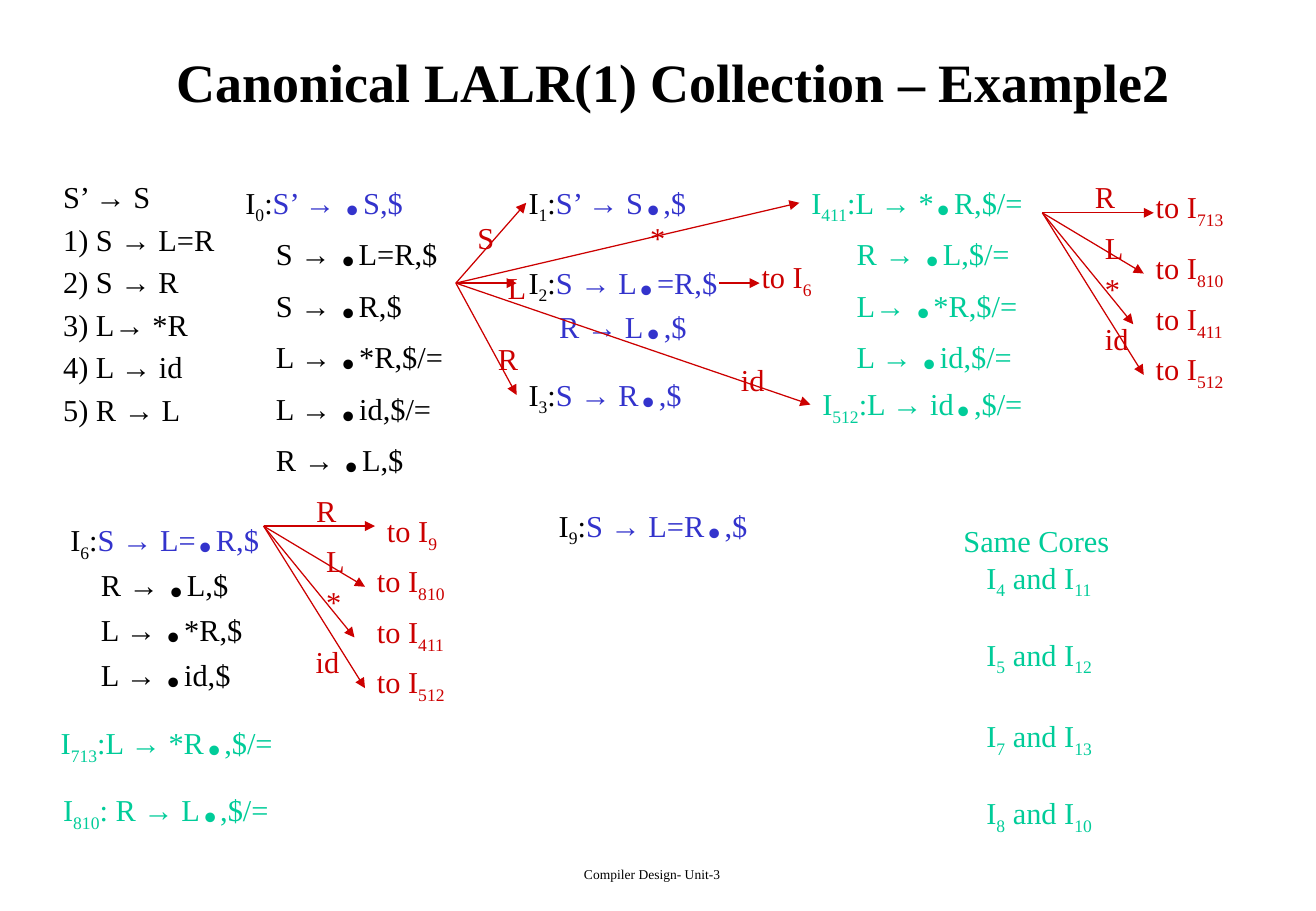
from lxml import etree
from pptx import Presentation
from pptx.dml.color import RGBColor
from pptx.enum import shapes, text
from pptx.oxml import ns
from pptx.util import Cm, Pt

HUES = {"black": "000000", "blue": "3333CC", "green": "00CC99", "red": "CC0000"}
DOT = 0.46  # line spacing of the lines with a large dot

deck = Presentation()
deck.slide_width, deck.slide_height = Cm(27.51), Cm(19.05)
slide = deck.slides.add_slide(deck.slide_layouts[6])


def write(x, y, w, h, lines, hue="black", size=18, pad=0, gaps=(), lead=None):
    """Parts are split by |: "_" lowers, "#" turns blue, "." is a large dot."""
    box = slide.shapes.add_textbox(Cm(x), Cm(y), Cm(w), Cm(h))
    frame = box.text_frame
    frame.word_wrap = True
    for row, line in enumerate(lines):
        para = frame.paragraphs[0] if row == 0 else frame.add_paragraph()
        if row:
            para._p.get_or_add_pPr().set("marL", str(Cm(pad)))
            if gaps:
                para.space_before = Pt(gaps[row - 1])
        if lead:
            para.line_spacing = lead
        para.font.name, para.font.size = "Times New Roman", Pt(size)
        para.font.color.rgb = RGBColor.from_string(HUES[hue])
        blue = False
        for part in line.split("|"):
            blue = blue or part.startswith("#")
            run = para.add_run()
            run.text = part.lstrip("#_")
            if blue:
                run.font.color.rgb = RGBColor.from_string(HUES["blue"])
            if part == ".":
                run.font.size = Pt(48)
            if part.startswith("_"):
                run._r.get_or_add_rPr().set("baseline", "-25000")
    return frame


def arrow(x, y, to_x, to_y):
    line = slide.shapes.add_connector(
        shapes.MSO_CONNECTOR.STRAIGHT, Cm(x), Cm(y), Cm(to_x), Cm(to_y))
    line.line.color.rgb = RGBColor.from_string(HUES["red"])
    line.line.width = Pt(0.75)
    etree.SubElement(line.line._get_or_add_ln(), ns.qn("a:tailEnd"), type="triangle")
    etree.SubElement(line._element.spPr, ns.qn("a:effectLst"))


# Title and footer
title = write(1.07, 0.43, 26.04, 2.54, ["Canonical LALR(1) Collection – Example2"], size=32)
title.vertical_anchor = text.MSO_ANCHOR.MIDDLE
title.paragraphs[0].font.bold = True
foot = write(8.48, 17.98, 10.31, 0.64, ["Compiler Design- Unit-3"], size=8)
for frame in (title, foot):
    frame.paragraphs[0].alignment = text.PP_ALIGN.CENTER

# Grammar
write(1.07, 3.61, 4.45, 5.61,
      ["S’ → S", "1) S → L=R", "2) S → R", "3) L→ *R", "4) L → id", "5) R → L"],
      gaps=[3.6] * 5)

# Item sets: x, y, w, h, hue, indent, gap, lines
sets = [
    (4.88, 3.61, 4.7, 5.61, "black", 0.64, 4,
     ["I|_0|:|#S’ → |.|S,$", "S → |.|L=R,$", "S → |.|R,$",
      "L → |.|*R,$/=", "L → |.|id,$/=", "R → |.|L,$"]),
    (10.8, 3.61, 5.59, 1.04, "black", 0, 0, ["I|_1|:|#S’ → S|.|,$"]),
    (10.8, 5.28, 4.5, 1.8, "black", 0.64, 0,
     ["I|_2|:|#S → L|.|=R,$", "#R → L|.|,$"]),
    (10.8, 7.62, 3.73, 1.04, "black", 0, 0, ["I|_3|:|#S → R|.|,$"]),
    (16.71, 3.61, 5.28, 3.78, "green", 0.95, 4,
     ["I|_411|:L → *|.|R,$/=", "R → |.|L,$/=", "L→ |.|*R,$/=", "L → |.|id,$/="]),
    (16.94, 7.82, 4.8, 1.04, "green", 0, 0, ["I|_512|:L → id|.|,$/="]),
    (1.22, 10.67, 4.5, 3.35, "black", 0.64, 0,
     ["I|_6|:|#S → L=|.|R,$", "R → |.|L,$", "L → |.|*R,$", "L → |.|id,$"]),
    (1.02, 14.91, 5.03, 1.04, "green", 0, 0, ["I|_713|:L → *R|.|,$/="]),
    (1.07, 16.31, 5.03, 1.04, "green", 0, 0, ["I|_810|: R → L|.|,$/="]),
    (11.43, 10.36, 4.5, 2.57, "black", 0, 0, ["I|_9|:|#S → L=R|.|,$"]),
]
for x, y, w, h, hue, pad, gap, lines in sets:
    write(x, y, w, h, lines, hue, pad=pad, gaps=[gap] * 5, lead=DOT)

# Arrows out of I0 and I2
for tip in [(11, 4.24), (10.8, 5.92), (16.71, 4.24), (10.8, 8.26), (16.94, 8.46)]:
    arrow(9.53, 5.92, *tip)
arrow(15.04, 5.92, 15.88, 5.92)

# Labels on those arrows, then the two fans add theirs
labels = [("S", 9.73, 4.45), ("L", 10.36, 5.51), ("R", 10.16, 6.99),
          ("id", 15.24, 7.42), ("*", 13.34, 4.45)]
goals = [("6", 15.67, 5.28)]
fans = [(21.79, 4.45, ("713", 2.12, -0.64), (1.06, 2.11)),
        (5.51, 11, ("9", 2.33, -0.41), (0.84, 2.33))]
for x, y, first, low in fans:
    for dx, dy in [(2.33, 0), (2.12, 1.27), (1.9, 2.33), (2.12, 3.39)]:
        arrow(x, y, x + dx, y + dy)
    for name, dx, dy in [first, ("810", 2.12, 0.64), ("411", 2.12, 1.7), ("512", 2.12, 2.75)]:
        goals.append((name, x + dx, y + dy))
    for name, dx, dy in [("R", 0.85, -0.84), ("L", 1.06, 0.21), ("*", 1.06, 1.07), ("id", *low)]:
        labels.append((name, x + dx, y + dy))

for name, x, y in goals:
    write(x, y, 2.03 if len(name) > 1 else 1.6, 1.02, ["to I|_" + name], "red")
wide = {"S": 0.88, "L": 0.9, "R": 0.96, "*": 0.86, "id": 1.06}
for name, x, y in labels:
    write(x, y, wide[name], 1.02, [name], "red")

# Same cores
write(19.89, 10.8, 3.61, 6.1,
      ["Same Cores", "I|_4| and I|_11", "I|_5| and I|_12", "I|_7| and I|_13", "I|_8| and I|_10"],
      "green", pad=0.48, gaps=[0, 21, 24, 21])

deck.save("out.pptx")
